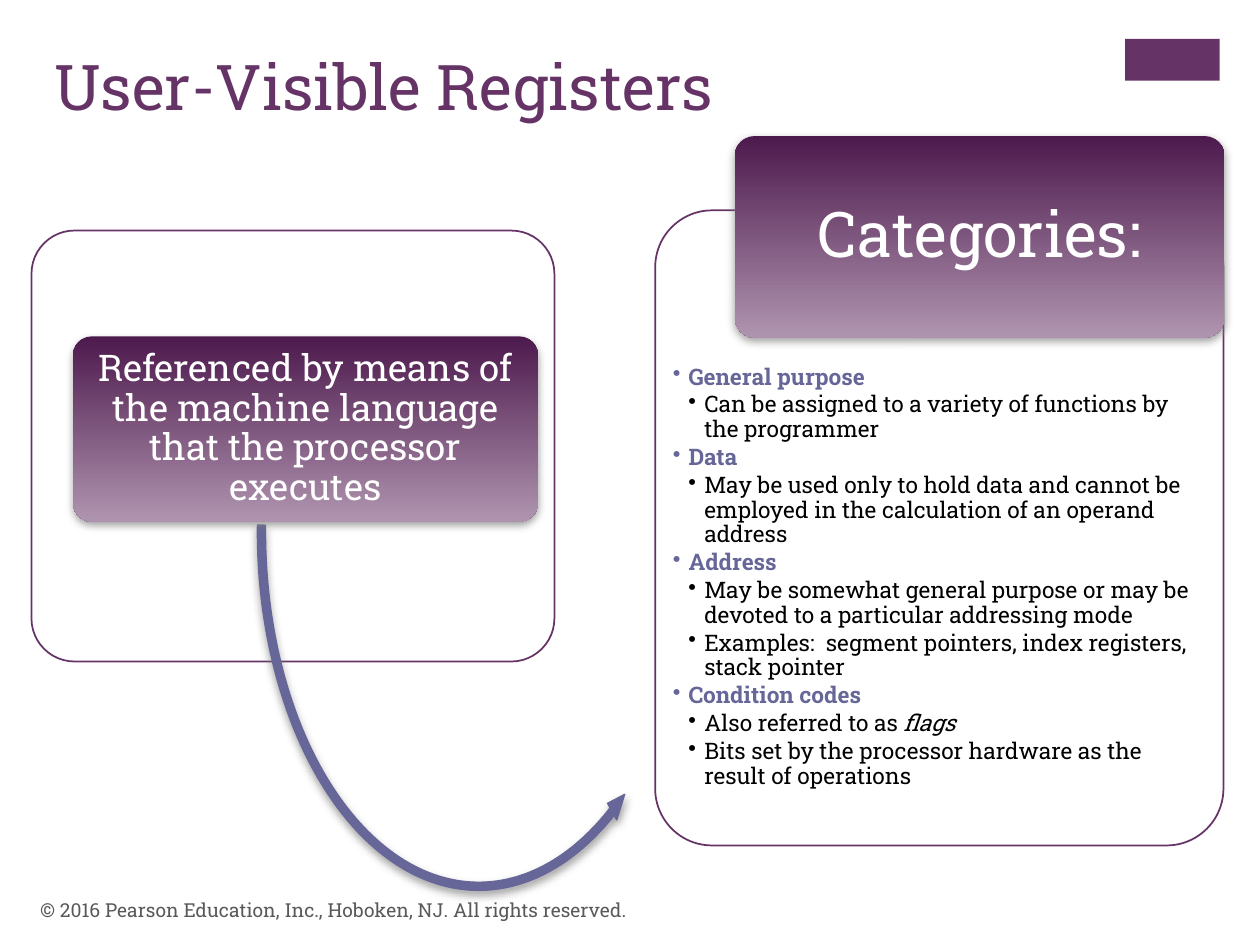
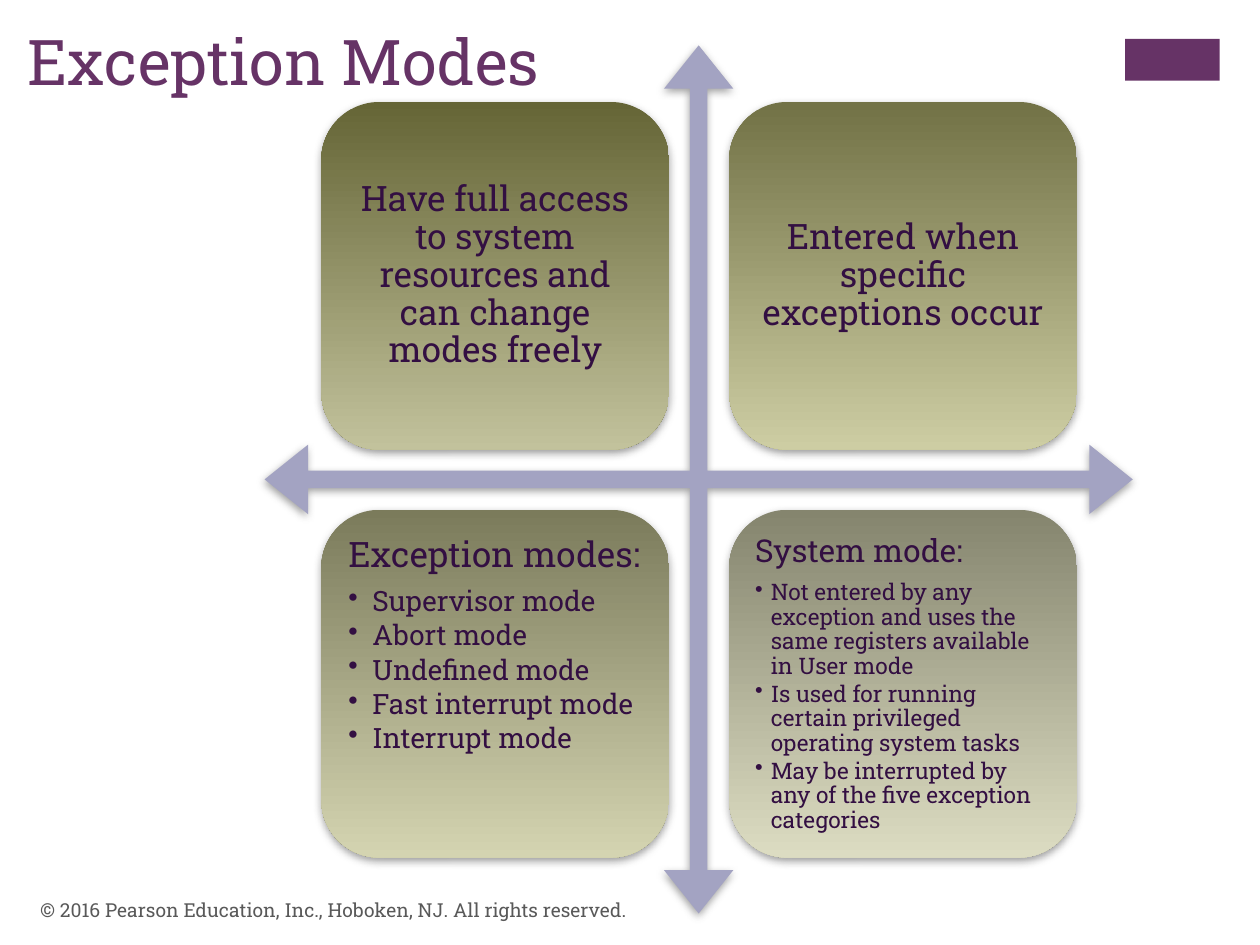
"""Builds two slides on processor registers and exception modes."""
from lxml import etree
from pptx import Presentation
from pptx.dml.color import RGBColor
from pptx.enum.shapes import MSO_SHAPE
from pptx.enum.text import MSO_ANCHOR, PP_ALIGN
from pptx.oxml.ns import qn
from pptx.util import Inches, Pt

RECT, ROUND = MSO_SHAPE.RECTANGLE, MSO_SHAPE.ROUNDED_RECTANGLE
CURVED_ARROW, QUAD_ARROW = MSO_SHAPE.LEFT_CIRCULAR_ARROW, MSO_SHAPE.QUAD_ARROW
TOP, MIDDLE = MSO_ANCHOR.TOP, MSO_ANCHOR.MIDDLE
LEFT, CENTER = PP_ALIGN.LEFT, PP_ALIGN.CENTER

PLUM = RGBColor(0x66, 0x33, 0x66)
PLUM_FADE = (RGBColor(0x4D, 0x1A, 0x4D), RGBColor(0xAF, 0x94, 0xAF))
SLATE = RGBColor(0x66, 0x66, 0x99)
LILAC = RGBColor(0xA3, 0xA3, 0xC2)
INK = RGBColor(0x33, 0x0F, 0x42)
GREY = RGBColor(0x59, 0x59, 0x59)
BLACK = RGBColor(0, 0, 0)
WHITE = RGBColor(0xFF, 0xFF, 0xFF)
CARD_FADES = [
    (RGBColor(0x65, 0x65, 0x36), RGBColor(0xC2, 0xC2, 0x9C)),
    (RGBColor(0x72, 0x72, 0x46), RGBColor(0xCD, 0xCD, 0xA3)),
    (RGBColor(0x7B, 0x7B, 0x5B), RGBColor(0xD4, 0xD4, 0xB1)),
    (RGBColor(0x85, 0x85, 0x6E), RGBColor(0xDC, 0xDC, 0xC2)),
]

FONT = "Roboto Slab"
COLS, ROWS = 100, 75
FOOTER = "© 2016 Pearson Education, Inc., Hoboken, NJ. All rights reserved."

CATEGORIES = [
    ("General purpose", [["Can be assigned to a variety of functions by the programmer"]]),
    ("Data", [["May be used only to hold data and cannot be employed in the "
               "calculation of an operand address"]]),
    ("Address", [["May be somewhat general purpose or may be devoted to a particular "
                  "addressing mode"],
                 ["Examples:  segment pointers, index registers, stack pointer"]]),
    ("Condition codes", [["Also referred to as ", "flags"],
                         ["Bits set by the processor hardware as the result of operations"]]),
]
EXCEPTION_MODES = ["Supervisor mode", "Abort mode", "Undefined mode",
                   "Fast interrupt mode", "Interrupt mode"]
SYSTEM_MODE = [
    "Not entered by any exception and uses the same registers available in User mode",
    "Is used for running certain privileged operating system tasks",
    "May be interrupted by any of the five exception categories",
]


class Deck:
    """Holds the shared style and the current slide."""

    def __init__(self):
        """Open a presentation with the slide size and grid cell."""
        self.prs = Presentation()
        self.prs.slide_width, self.prs.slide_height = Inches(10), Inches(7.5)
        self.cell_w = self.prs.slide_width / COLS
        self.cell_h = self.prs.slide_height / ROWS
        self.s = None

    def box(self, x, y, w, h):
        """Turn columns and rows into lengths."""
        return [round(n) for n in (x * self.cell_w, y * self.cell_h,
                                   w * self.cell_w, h * self.cell_h)]

    def slide(self, title, x, y):
        """Start a slide with its corner block and title."""
        self.s = self.prs.slides.add_slide(self.prs.slide_layouts[5])
        self.shape(RECT, (89.3, 3.1, 7.5, 3.3), PLUM)
        sp = self.s.shapes.title
        sp.left, sp.top, sp.width, sp.height = self.box(x, y, 82.6, 12.2)
        self.frame(sp.text_frame, TOP, (0.1, 0.05))
        p = sp.text_frame.paragraphs[0]
        p.alignment = LEFT
        self.run(p, title, 36, PLUM)

    def footer(self):
        """Add the copyright line."""
        tf = self.text((2.2, 70.2, 67, 4), MIDDLE, (0.1, 0.05))
        self.run(tf.paragraphs[0], FOOTER, 11, GREY)

    def shape(self, kind, at, fill, line=None, width=1, adj=(), shadow=False, alpha=None):
        """Add a preset shape with a solid or two-colour fill."""
        sp = self.s.shapes.add_shape(kind, *self.box(*at))
        for i, value in enumerate(adj):
            sp.adjustments[i] = value
        if isinstance(fill, RGBColor):
            sp.fill.solid()
            sp.fill.fore_color.rgb = fill
        else:
            sp.fill.gradient()
            sp.fill.gradient_angle = 270
            for stop, color in zip(sp.fill.gradient_stops, fill):
                stop.color.rgb = color
        if alpha:
            color = sp._element.spPr.find(qn("a:solidFill"))[0]
            etree.SubElement(color, qn("a:alpha"), val=str(alpha * 1000))
        if line is None:
            sp.line.fill.background()
        else:
            sp.line.color.rgb = line
            sp.line.width = Pt(width)
        sp.shadow.inherit = False
        if shadow:
            self.cast_shadow(sp)
        return sp

    def cast_shadow(self, sp):
        """Give a shape a soft grey shadow below it."""
        effects = sp._element.spPr.find(qn("a:effectLst"))
        outer = etree.SubElement(effects, qn("a:outerShdw"), blurRad=str(Pt(5)),
                                 dist=str(Pt(2)), dir="5400000", rotWithShape="0")
        color = etree.SubElement(outer, qn("a:srgbClr"), val="808080")
        etree.SubElement(color, qn("a:alpha"), val="75000")

    def frame(self, tf, anchor, inset):
        """Set wrapping, anchor and insets of a text frame."""
        tf.word_wrap = True
        tf.vertical_anchor = anchor
        tf.margin_left = tf.margin_right = Inches(inset[0])
        tf.margin_top = tf.margin_bottom = Inches(inset[1])

    def text(self, at, anchor, inset):
        """Add a text box and return its frame."""
        tf = self.s.shapes.add_textbox(*self.box(*at)).text_frame
        self.frame(tf, anchor, inset)
        return tf

    def paragraph(self, tf, size, after, align=LEFT):
        """Return the next paragraph, spaced by a share of its text size."""
        p = tf.paragraphs[0]
        if p.runs:
            p = tf.add_paragraph()
        p.alignment = align
        p.line_spacing = 0.9
        p.space_after = Pt(round(size * after, 1))
        return p

    def bullet(self, tf, size, indent, level=1):
        """Return the next paragraph with a hanging bullet."""
        p = self.paragraph(tf, size, 0.15)
        p.level = level
        pPr = p._p.get_or_add_pPr()
        pPr.set("marL", str(Inches(indent * level)))
        pPr.set("indent", str(-Inches(indent)))
        etree.SubElement(pPr, qn("a:buChar"), char="•")
        return p

    def run(self, p, text, size, color, bold=False, italic=False):
        """Add one run of text."""
        r = p.add_run()
        r.text = text
        r.font.name, r.font.size = FONT, Pt(size)
        r.font.color.rgb = color
        r.font.bold, r.font.italic = bold, italic

    def statement(self, at, text, size, color, inset):
        """Add centred text."""
        tf = self.text(at, MIDDLE, inset)
        self.run(self.paragraph(tf, size, 0.35, CENTER), text, size, color)

    def label(self, at, text, size, inset):
        """Add a plum block with white text."""
        self.shape(ROUND, at, PLUM_FADE, adj=[0.1], shadow=True)
        x, y, w, h = at
        self.statement((x + 0.5, y + 0.5, w - 1, h - 1), text, size, WHITE, inset)

    def panel(self, at):
        """Add an outlined panel."""
        self.shape(ROUND, at, WHITE, PLUM, adj=[0.1], alpha=90)

    def listing(self, at, heading, items, head_size, size, indent, inset):
        """Add a heading with a bullet list."""
        tf = self.text(at, TOP, (inset, inset))
        self.run(self.paragraph(tf, head_size, 0.35), heading, head_size, INK)
        for item in items:
            self.run(self.bullet(tf, size, indent), item, size, INK)


def registers(deck):
    """Build the slide on user-visible registers."""
    deck.slide("User-Visible Registers", 3.3, 3.3)
    deck.panel((2.5, 18.3, 41.5, 34.2))
    deck.shape(CURVED_ARROW, (20, 13.3, 36, 57.8), SLATE, SLATE, 0.75,
               [0.018, 2.16, 38.717, 109.047, 0.021], shadow=True)
    deck.label((5.8, 26.7, 36.9, 14.7), "Referenced by means of the machine language "
               "that the processor executes", 21, (0.04, 0.03))
    deck.panel((52, 16.7, 45.1, 50.4))
    tf = deck.text((53.1, 28.7, 42.7, 37.3), TOP, (0.03, 0.03))
    for category, details in CATEGORIES:
        deck.run(deck.bullet(tf, 13, 0.125), category, 13, SLATE, bold=True)
        for runs in details:
            p = deck.bullet(tf, 13, 0.125, level=2)
            for text in runs:
                deck.run(p, text, 13, BLACK, italic=text == "flags")
    deck.label((58.3, 10.8, 38.9, 16), "Categories:", 36, (0.07, 0.05))
    deck.footer()


def exception_modes(deck):
    """Build the slide on exception modes."""
    deck.slide("Exception Modes", 1.2, 1.3)
    deck.shape(QUAD_ARROW, (21, 3.6, 68.9, 68.9), LILAC, adj=[0.02, 0.04, 0.05], shadow=True)
    size, pitch, pad = 27.6, 32.37, 1.35
    areas = []
    for i, fade in enumerate(CARD_FADES):
        row, col = divmod(i, 2)
        x, y = 25.5 + col * pitch, 8.1 + row * pitch
        deck.shape(ROUND, (x, y, size, size), fade, shadow=True)
        areas.append((x + pad, y + pad, size - 2 * pad, size - 2 * pad))
    access, entry, modes, system = areas
    deck.statement(access, "Have full access to system resources and can change modes freely",
                   20, INK, (0.08, 0.08))
    deck.statement(entry, "Entered when specific exceptions occur", 20, INK, (0.08, 0.08))
    deck.listing(modes, "Exception modes:", EXCEPTION_MODES, 20, 16, 0.19, 0.08)
    deck.listing(system, "System mode:", SYSTEM_MODE, 18, 13, 0.125, 0.07)
    deck.footer()


def main():
    """Build and save the slides."""
    deck = Deck()
    registers(deck)
    exception_modes(deck)
    deck.prs.save("out.pptx")


if __name__ == "__main__":
    main()
